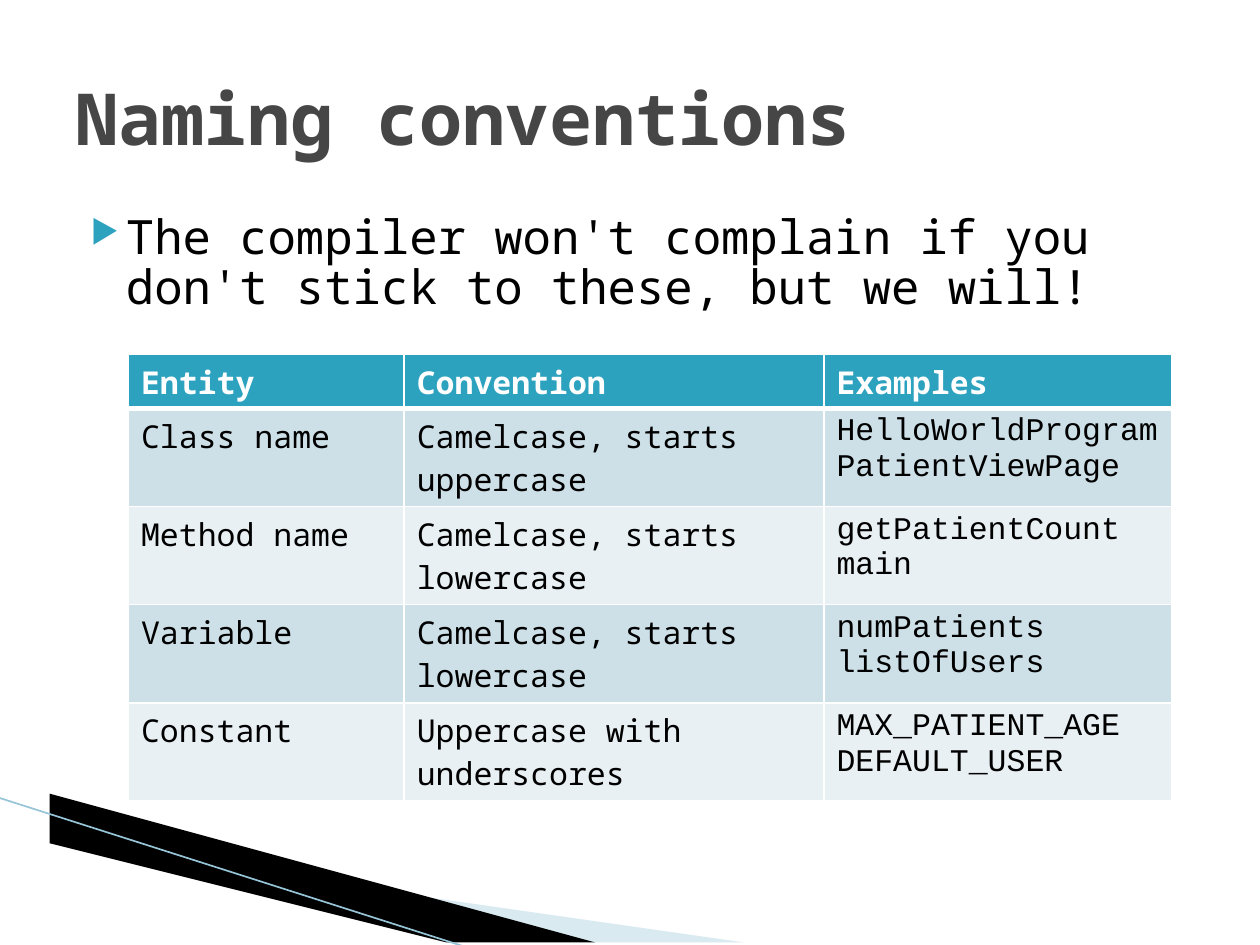
from dataclasses import dataclass

from lxml.etree import SubElement
from pptx import Presentation
from pptx.dml.color import RGBColor
from pptx.enum.shapes import MSO_CONNECTOR
from pptx.enum.text import MSO_ANCHOR, PP_ALIGN
from pptx.oxml.ns import qn
from pptx.util import Cm, Pt


@dataclass(frozen=True)
class Theme:
    body_font: str = "Noto Sans Mono"
    code_font: str = "Courier New"
    title_size: float = 41
    body_size: float = 27
    table_size: float = 18
    title: str = "464646"
    text: str = "000000"
    accent: str = "2DA2BF"
    white: str = "FFFFFF"
    bands: tuple = ("CDE0E8", "E8F0F4")
    swoosh_pale: str = "A0CBDC"
    swoosh_dark: str = "000000"
    swoosh_line: str = "97C5D8"


def set_font(p, color, **values):
    """Apply font attributes to a paragraph and all its runs."""
    for target in (p, *p.runs):
        for name, value in values.items():
            setattr(target.font, name, value)
        target.font.color.rgb = RGBColor.from_string(color)


def add_color(parent, color):
    fill = SubElement(parent, qn("a:solidFill"))
    return SubElement(fill, qn("a:srgbClr"), val=color)


class Deck:
    def __init__(self, prs, theme):
        self.theme = theme
        self.s = prs.slides.add_slide(prs.slide_layouts[5])

    def title(self, text, box):
        t, sp = self.theme, self.s.shapes.title
        sp.left, sp.top, sp.width, sp.height = map(Cm, box)
        tf = sp.text_frame
        tf.text = text
        tf.vertical_anchor = MSO_ANCHOR.MIDDLE
        p = tf.paragraphs[0]
        p.alignment = PP_ALIGN.LEFT
        set_font(p, t.title, name=t.body_font, size=Pt(t.title_size), bold=True)

    def bullet(self, text, box):
        t = self.theme
        tf = self.s.shapes.add_textbox(*map(Cm, box)).text_frame
        tf.word_wrap = True
        p = tf.paragraphs[0]
        p.text = text
        p.line_spacing = 0.89
        pPr = p._p.get_or_add_pPr()
        pPr.set("marL", str(Cm(1.02)))
        pPr.set("indent", str(Cm(-0.71)))
        SubElement(SubElement(pPr, qn("a:buClr")), qn("a:srgbClr"), val=t.accent)
        SubElement(pPr, qn("a:buSzPct"), val="68000")
        SubElement(pPr, qn("a:buChar"), char="▶")
        set_font(p, t.text, name=t.body_font, size=Pt(t.body_size))

    def polygon(self, points, color, alpha=100):
        """Draw a closed outline through points given in centimetres."""
        builder = self.s.shapes.build_freeform(*points[0], scale=Cm(1))
        builder.add_line_segments(points[1:], close=True)
        sp = builder.convert_to_shape()
        sp.shadow.inherit = False
        sp.line.fill.background()
        sp.fill.solid()
        sp.fill.fore_color.rgb = RGBColor.from_string(color)
        if alpha < 100:
            clr = sp.fill._xPr.find(qn("a:solidFill"))[0]
            SubElement(clr, qn("a:alpha"), val=str(alpha * 1000))

    def line(self, start, end, color, width):
        cxn = self.s.shapes.add_connector(
            MSO_CONNECTOR.STRAIGHT, *map(Cm, (*start, *end)))
        cxn.line.color.rgb = RGBColor.from_string(color)
        cxn.line.width = Pt(width)
        SubElement(cxn._element.spPr, qn("a:effectLst"))

    def borders(self, cell, bottom):
        tcPr = cell._tc.get_or_add_tcPr()
        for side, width in (("L", 1), ("R", 1), ("T", 1), ("B", bottom)):
            ln = SubElement(tcPr, qn(f"a:ln{side}"), w=str(Pt(width)))
            add_color(ln, self.theme.white)

    def table(self, rows, left, top, widths, heights):
        """Draw a header row and banded rows whose last column is code."""
        t = self.theme
        table = self.s.shapes.add_table(
            len(rows), len(widths), Cm(left), Cm(top),
            Cm(sum(widths)), Cm(sum(heights))).table
        for column, width in zip(table.columns, widths):
            column.width = Cm(width)
        for r, (row, height) in enumerate(zip(rows, heights)):
            table.rows[r].height = Cm(height)
            header = r == 0
            for c, text in enumerate(row):
                cell = table.cell(r, c)
                cell.text = text
                self.borders(cell, bottom=3 if header else 1)
                cell.fill.solid()
                color = t.accent if header else t.bands[(r - 1) % 2]
                cell.fill.fore_color.rgb = RGBColor.from_string(color)
                code = not header and c == len(row) - 1
                set_font(cell.text_frame.paragraphs[0],
                         t.white if header else t.text,
                         name=t.code_font if code else t.body_font,
                         size=Pt(t.table_size), bold=header)


ROWS = [
    ("Entity", "Convention", "Examples"),
    ("Class name", "Camelcase, starts uppercase", "HelloWorldProgram PatientViewPage"),
    ("Method name", "Camelcase, starts lowercase", "getPatientCount\vmain"),
    ("Variable", "Camelcase, starts lowercase", "numPatients\vlistOfUsers"),
    ("Constant", "Uppercase with underscores", "MAX_PATIENT_AGE\vDEFAULT_USER"),
]


def main():
    prs = Presentation()
    prs.slide_width, prs.slide_height = Cm(25.4), Cm(19.05)
    theme = Theme()
    deck = Deck(prs, theme)
    deck.polygon([(1.4, 16.54), (15.11, 19.08), (11.58, 19.08), (1.4, 16.51)],
                 theme.swoosh_pale, alpha=40)
    deck.polygon([(1.35, 16.48), (11.61, 19.08), (9.45, 19.1), (1.37, 16.51)],
                 theme.swoosh_dark)
    deck.line((-0.03, 16.08), (9.42, 19.1), theme.swoosh_line, 0.95)
    deck.title("Naming conventions", (1.27, 0.76, 22.86, 3.18))
    deck.bullet("The compiler won't complain if you don't stick to these, but we will!",
                (1.27, 4.19, 22.86, 12.5))
    deck.table(ROWS, 2.59, 7.14, widths=(5.56, 8.46, 7.01),
               heights=(1.09, *[1.98] * 4))
    prs.save("out.pptx")


if __name__ == "__main__":
    main()
